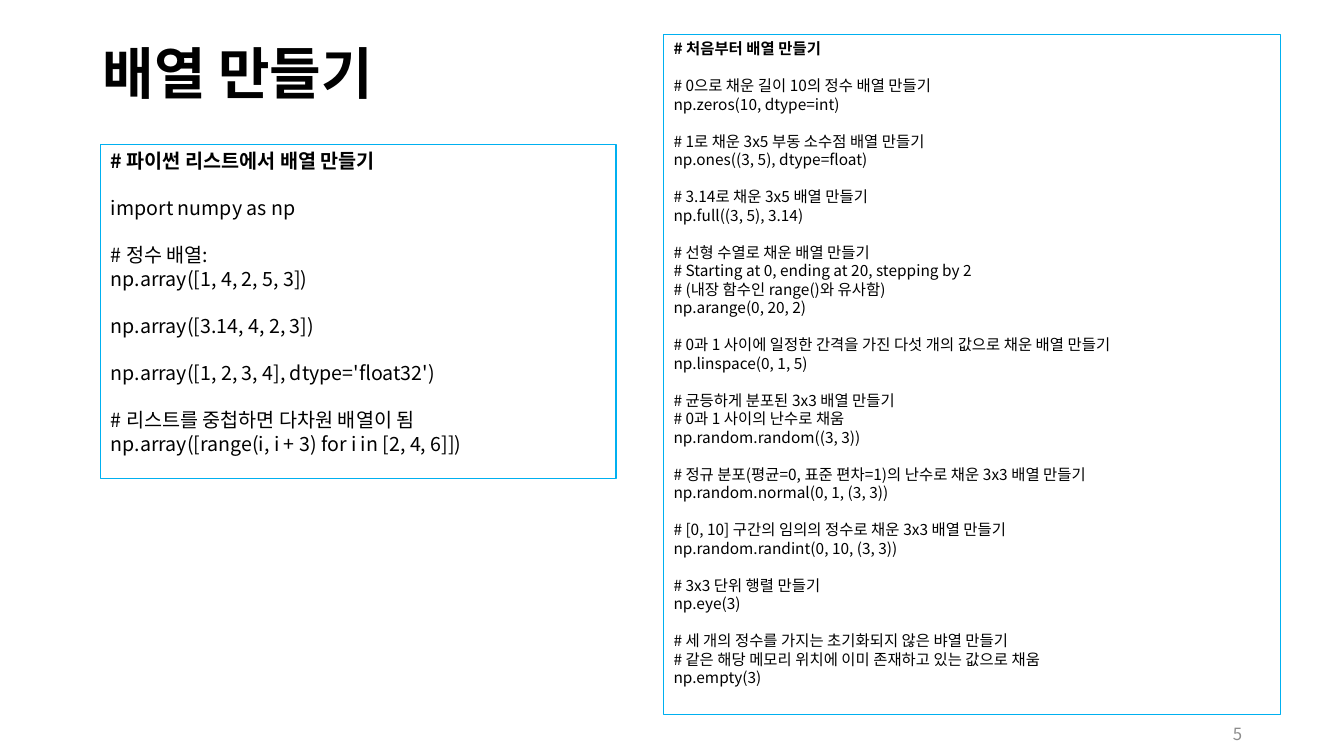
from lxml.etree import SubElement
from pptx import Presentation
from pptx.dml.color import RGBColor
from pptx.enum.text import MSO_ANCHOR, MSO_AUTO_SIZE, PP_ALIGN
from pptx.oxml.ns import qn
from pptx.util import Inches, Pt

FONT = "Noto Sans CJK KR"
COLORS = {"text": "000000", "edge": "00B0F0", "number": "8C8C8C"}

# Each inner list is a block of lines; a gap separates the blocks
LISTS = [
    ["# 파이썬 리스트에서 배열 만들기"],
    ["import numpy as np"],
    ["# 정수 배열:", "np.array([1, 4, 2, 5, 3])"],
    ["np.array([3.14, 4, 2, 3])"],
    ["np.array([1, 2, 3, 4], dtype='float32')"],
    ["# 리스트를 중첩하면 다차원 배열이 됨",
     "np.array([range(i, i + 3) for i in [2, 4, 6]])"],
]
SCRATCH = [
    ["# 처음부터 배열 만들기"],
    ["# 0으로 채운 길이 10의 정수 배열 만들기", "np.zeros(10, dtype=int)"],
    ["# 1로 채운 3x5 부동 소수점 배열 만들기", "np.ones((3, 5), dtype=float)"],
    ["# 3.14로 채운 3x5 배열 만들기", "np.full((3, 5), 3.14)"],
    ["# 선형 수열로 채운 배열 만들기",
     "# Starting at 0, ending at 20, stepping by 2",
     "# (내장 함수인 range()와 유사함)",
     "np.arange(0, 20, 2)"],
    ["# 0과 1 사이에 일정한 간격을 가진 다섯 개의 값으로 채운 배열 만들기",
     "np.linspace(0, 1, 5)"],
    ["# 균등하게 분포된 3x3 배열 만들기",
     "# 0과 1 사이의 난수로 채움",
     "np.random.random((3, 3))"],
    ["# 정규 분포(평균=0, 표준 편차=1)의 난수로 채운 3x3 배열 만들기",
     "np.random.normal(0, 1, (3, 3))"],
    ["# [0, 10] 구간의 임의의 정수로 채운 3x3 배열 만들기",
     "np.random.randint(0, 10, (3, 3))"],
    ["# 3x3 단위 행렬 만들기", "np.eye(3)"],
    ["# 세 개의 정수를 가지는 초기화되지 않은 뱌열 만들기",
     "# 같은 해당 메모리 위치에 이미 존재하고 있는 값으로 채움",
     "np.empty(3)"],
]


def place(shape, left, top, width, height):
    shape.left, shape.top = Inches(left), Inches(top)
    shape.width, shape.height = Inches(width), Inches(height)


def frame(shape, anchor):
    box = shape.text_frame
    box.word_wrap = True
    box.auto_size = MSO_AUTO_SIZE.NONE
    box.vertical_anchor = anchor
    return box


def write(para, text, size, color="text", bold=False, align=PP_ALIGN.LEFT):
    para.alignment = align
    run = para.add_run()
    run.text = text
    font = run.font
    font.name, font.size, font.bold = FONT, Pt(size), bold
    font.color.rgb = RGBColor.from_string(COLORS[color])
    SubElement(font._element, qn("a:ea"), typeface=FONT)


def plain(para):
    """Turn off the bullet and the indent."""
    props = para._p.get_or_add_pPr()
    props.set("marL", "0")
    props.set("indent", "0")
    SubElement(props, qn("a:buNone"))


def code(shape, blocks, size):
    """Fill an outlined box with blocks of code; the first is its heading."""
    shape.fill.background()
    shape.line.color.rgb = RGBColor.from_string(COLORS["edge"])
    shape.line.width = Pt(0.75)
    box = frame(shape, MSO_ANCHOR.TOP)
    pitch = Pt(size * 1.2)
    for b, block in enumerate(blocks):
        for n, line in enumerate(block):
            first = b == n == 0
            para = box.paragraphs[0] if first else box.add_paragraph()
            para.line_spacing = pitch
            para.space_before = pitch if b and n == 0 else Pt(0)
            para.space_after = Pt(0)
            plain(para)
            write(para, line, size, bold=b == 0)


def main():
    deck = Presentation()
    deck.slide_width, deck.slide_height = Inches(13.33), Inches(7.5)
    slide = deck.slides.add_slide(deck.slide_layouts[1])

    # Title
    title = slide.shapes.title
    place(title, 0.92, 0.13, 11.5, 1.17)
    write(frame(title, MSO_ANCHOR.MIDDLE).paragraphs[0], "배열 만들기", 40,
          bold=True)

    # Arrays from scratch, on the right
    body = slide.placeholders[1]
    place(body, 6.58, 0.34, 6.12, 6.75)
    code(body, SCRATCH, 11)

    # Arrays from lists, on the left
    left = slide.shapes.add_textbox(
        Inches(1), Inches(1.43), Inches(5.11), Inches(3.32))
    code(left, LISTS, 14)

    # Slide number
    number = slide.shapes.add_textbox(
        Inches(9.42), Inches(7.08), Inches(3), Inches(0.4))
    write(frame(number, MSO_ANCHOR.MIDDLE).paragraphs[0], "5", 12,
          color="number", align=PP_ALIGN.RIGHT)

    deck.save("out.pptx")


if __name__ == "__main__":
    main()
